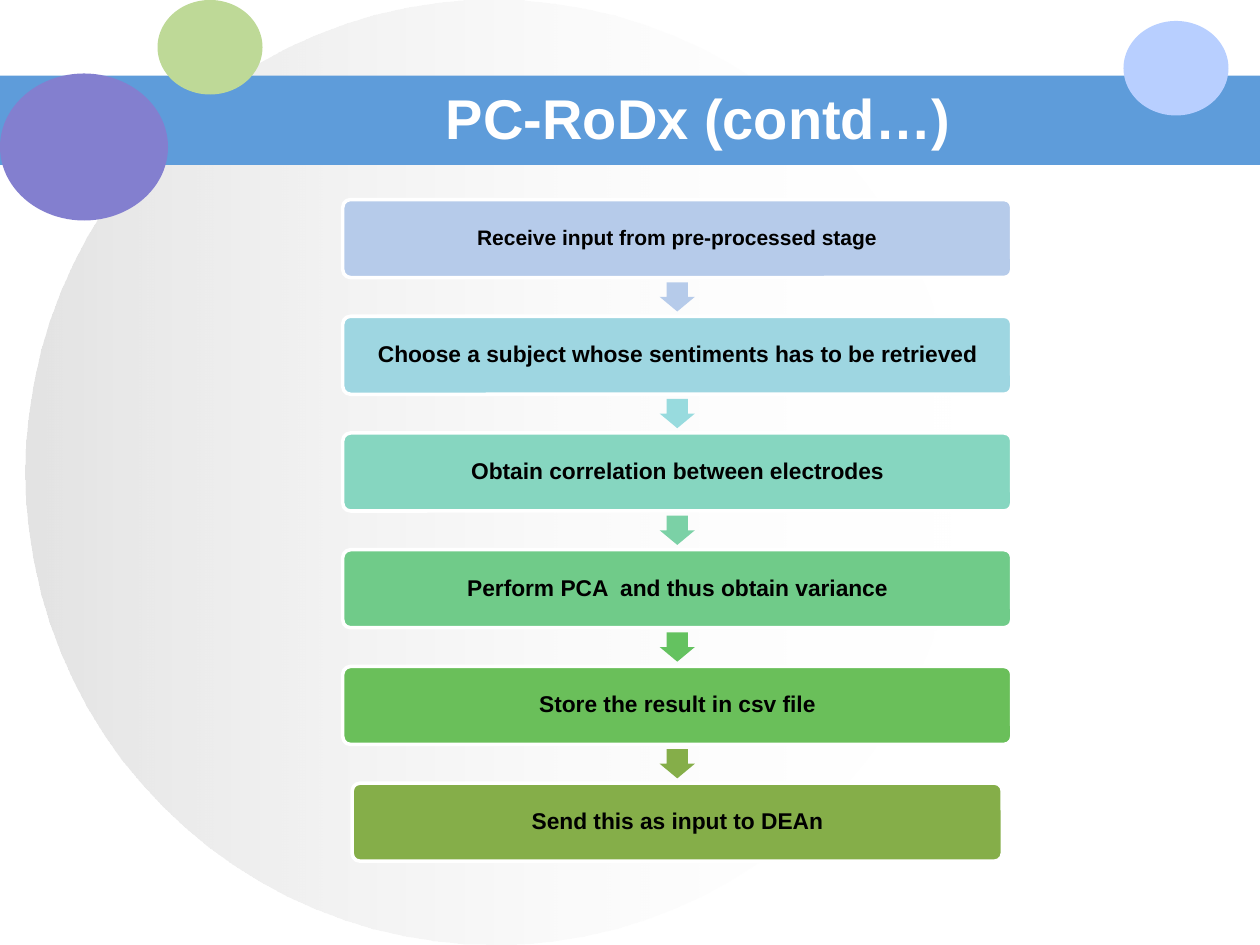
from dataclasses import dataclass
from typing import Optional

from lxml import etree
from pptx import Presentation
from pptx.dml.color import RGBColor
from pptx.enum import shapes, text
from pptx.oxml.ns import qn
from pptx.util import Pt

WHITE = RGBColor(0xFF, 0xFF, 0xFF)
BLACK = RGBColor(0, 0, 0)
SILVER = RGBColor(0xC0, 0xC0, 0xC0)
BAND_BLUE = RGBColor(0x5E, 0x9C, 0xDA)
LIME = RGBColor(0xBE, 0xD9, 0x97)
VIOLET = RGBColor(0x83, 0x7F, 0xCF)
SKY = RGBColor(0xB8, 0xCF, 0xFF)
PERIWINKLE = RGBColor(0xB6, 0xCB, 0xEA)
POWDER = RGBColor(0x9E, 0xD6, 0xE1)
AQUA = RGBColor(0x98, 0xDB, 0xDE)
TEAL = RGBColor(0x86, 0xD6, 0xC0)
SEAFOAM = RGBColor(0x7B, 0xD1, 0xA6)
MINT = RGBColor(0x70, 0xCB, 0x89)
GREEN = RGBColor(0x64, 0xC2, 0x60)
LEAF = RGBColor(0x6A, 0xBF, 0x5A)
OLIVE = RGBColor(0x85, 0xAE, 0x49)

FONT = "Arial"
FLOW_CENTER = 387
FLOW_TOP = 114
STEP_PITCH = 66.7
STEP_HEIGHT = 44.6
ARROW_LENGTH, ARROW_BREADTH = 16.7, 20.1

SHAPE = shapes.MSO_SHAPE


@dataclass(frozen=True)
class Ornament:
    kind: SHAPE
    left: float
    top: float
    width: float
    height: float
    color: RGBColor


@dataclass(frozen=True)
class Step:
    label: str
    color: RGBColor
    arrow_color: Optional[RGBColor]
    size: float = 13
    width: float = 382.3


ORNAMENTS = [
    Ornament(SHAPE.RECTANGLE, 0, 43.2, 720, 51, BAND_BLUE),
    Ornament(SHAPE.OVAL, 90, 0, 60, 54, LIME),
    Ornament(SHAPE.OVAL, 0, 42, 96, 84, VIOLET),
    Ornament(SHAPE.OVAL, 642, 12, 60, 54, SKY),
]

STEPS = [
    Step("Receive input from pre-processed stage", PERIWINKLE, PERIWINKLE, size=12),
    Step("Choose a subject whose sentiments has to be retrieved", POWDER, AQUA),
    Step("Obtain correlation between electrodes", TEAL, SEAFOAM),
    Step("Perform PCA  and thus obtain variance", MINT, GREEN),
    Step("Store the result in csv file", LEAF, OLIVE),
    Step("Send this as input to DEAn", OLIVE, None, width=371.5),
]


def add_ornament(slide, part: Ornament):
    ornament = slide.shapes.add_shape(
        part.kind, Pt(part.left), Pt(part.top), Pt(part.width), Pt(part.height)
    )
    ornament.shadow.inherit = False
    ornament.fill.solid()
    ornament.fill.fore_color.rgb = part.color
    ornament.line.fill.background()
    return ornament


def add_backdrop(slide) -> None:
    disc = add_ornament(slide, Ornament(SHAPE.OVAL, 14.4, 0, 535.7, 540, SILVER))
    disc.fill.gradient()
    disc.fill.gradient_angle = 0
    for stop, color, opacity in zip(disc.fill.gradient_stops, (SILVER, WHITE), (44, 0)):
        stop.color.rgb = color
    stops = disc.fill.gradient_stops
    stops[0].position, stops[1].position = 0, 1
    color_tags = disc.element.spPr.iter(qn("a:srgbClr"))
    for color_tag, opacity in zip(list(color_tags), (44, 0)):
        etree.SubElement(color_tag, qn("a:alpha")).set("val", str(opacity * 1000))


def write_centered(frame, words: str, size: float, color: RGBColor) -> None:
    frame.word_wrap = True
    frame.vertical_anchor = text.MSO_ANCHOR.MIDDLE
    paragraph = frame.paragraphs[0]
    paragraph.text = words
    paragraph.alignment = text.PP_ALIGN.CENTER
    paragraph.font.name = FONT
    paragraph.font.size = Pt(size)
    paragraph.font.bold = True
    paragraph.font.color.rgb = color


def add_title(slide, words: str) -> None:
    title = slide.shapes.add_textbox(Pt(162), Pt(48), Pt(474), Pt(38.4))
    write_centered(title.text_frame, words, 32, WHITE)


def add_step(slide, step: Step, top: float) -> None:
    left = FLOW_CENTER - step.width / 2
    box = add_ornament(
        slide,
        Ornament(SHAPE.ROUNDED_RECTANGLE, left, top, step.width, STEP_HEIGHT, step.color),
    )
    box.adjustments[0] = 0.1
    box.line.color.rgb = WHITE
    box.line.width = Pt(2)
    frame = box.text_frame
    frame.margin_left = frame.margin_right = Pt(3.6)
    frame.margin_top = frame.margin_bottom = Pt(3.6)
    write_centered(frame, step.label, step.size, BLACK)
    frame.paragraphs[0].line_spacing = 0.9


def add_arrow(slide, color: RGBColor, middle: float) -> None:
    left = FLOW_CENTER - ARROW_LENGTH / 2
    top = middle - ARROW_BREADTH / 2
    arrow = add_ornament(
        slide,
        Ornament(SHAPE.RIGHT_ARROW, left, top, ARROW_LENGTH, ARROW_BREADTH, color),
    )
    arrow.adjustments[0] = 0.6
    arrow.adjustments[1] = 0.5
    arrow.rotation = 90


def build() -> None:
    deck = Presentation()
    deck.slide_width, deck.slide_height = Pt(720), Pt(540)
    slide = deck.slides.add_slide(deck.slide_layouts[6])
    add_backdrop(slide)
    for ornament in ORNAMENTS:
        add_ornament(slide, ornament)
    add_title(slide, "PC-RoDx (contd…)")
    for index, step in enumerate(STEPS):
        top = FLOW_TOP + index * STEP_PITCH
        add_step(slide, step, top)
        if step.arrow_color is not None:
            add_arrow(slide, step.arrow_color, top + (STEP_HEIGHT + STEP_PITCH) / 2)
    deck.save("out.pptx")


build()
